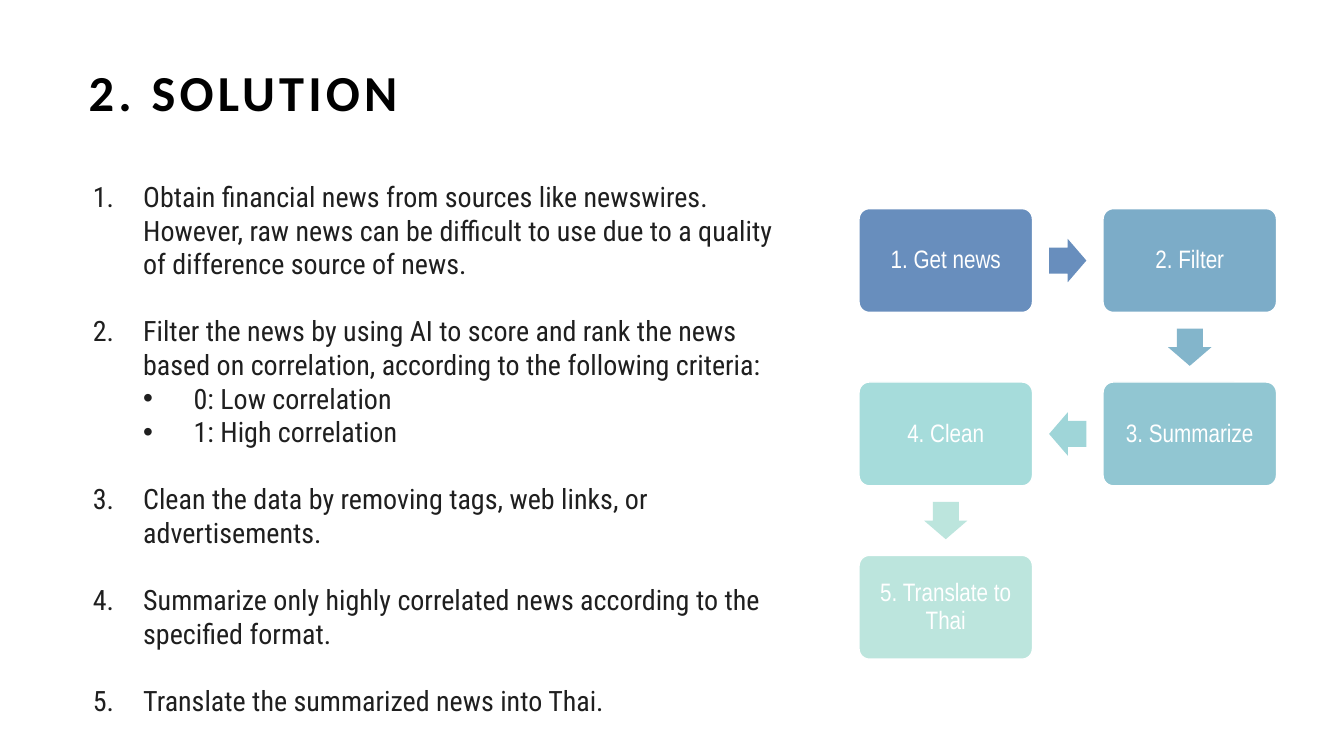
"""Builds the solution slide: a numbered list beside a five-step winding process."""
from lxml import etree
from pptx import Presentation, util as u
from pptx.dml.color import RGBColor
from pptx.enum import shapes, text
from pptx.oxml.ns import qn

COLORS = {
    "paper": "FFFFFF", "title": "000000", "body": "1F1F1F",
    "box1": "688EBD", "box2": "7CACC8", "box3": "91C6D2", "box4": "A6DCDB", "box5": "BCE5DD",
    "arrow1": "688EBD", "arrow2": "83B5CB", "arrow3": "9FD5D8", "arrow4": "BCE5DD",
}
FONTS = {
    "title": {"name": "Calibri", "size": u.Pt(36), "bold": True},
    "body": {"name": "Roboto Condensed", "size": u.Pt(20)},
    "paper": {"name": "Arial Narrow", "size": u.Pt(18)},
}
ITEMS = [
    ("1", "Obtain financial news from sources like newswires. However, raw news can be "
          "difficult to use due to a quality of difference source of news."),
    ("2", "Filter the news by using AI to score and rank the news based on correlation, "
          "according to the following criteria:"),
    ("•", "0: Low correlation"),
    ("•", "1: High correlation"),
    ("3", "Clean the data by removing tags, web links, or advertisements."),
    ("4", "Summarize only highly correlated news according to the specified format."),
    ("5", "Translate the summarized news into Thai."),
]
STEPS = [("1. Get news", 0, 0), ("2. Filter", 1, 0), ("3. Summarize", 1, 1),
         ("4. Clean", 0, 1), ("5. Translate to Thai", 0, 2)]
TURNS = [0, 90, 180, 90]
LEFT, TOP, COL, ROW = 8.52, 2.07, 2.42, 1.72
BOX_W, BOX_H, ARROW_W, ARROW_H = 1.72, 1.03, 0.37, 0.43


def write(p, words, style):
    r = p.add_run()
    r.text = words
    for key, value in FONTS[style].items():
        setattr(r.font, key, value)
    r.font.color.rgb = RGBColor.from_string(COLORS[style])
    return r


def add_filled(kind, x, y, w, h, color, adjustments):
    sp = s.shapes.add_shape(kind, *map(u.Inches, (x, y, w, h)))
    sp.shadow.inherit = False
    sp.fill.solid()
    sp.fill.fore_color.rgb = RGBColor.from_string(COLORS[color])
    for i, value in enumerate(adjustments):
        sp.adjustments[i] = value
    return sp


prs = Presentation()
prs.slide_width, prs.slide_height = u.Inches(13.33), u.Inches(7.5)
s = prs.slides.add_slide(prs.slide_layouts[1])
title, body = s.shapes.title, s.placeholders[1]

for sp, frame in ((body, (0.82, 1.73, 7.15, 5.15)), (title, (0.88, 0.67, 10.74, 0.56))):
    for side, value in zip(("left", "top", "width", "height"), frame):
        setattr(sp, side, u.Inches(value))
    sp.text_frame.vertical_anchor = text.MSO_ANCHOR.TOP
    sp.text_frame.word_wrap = True

tf = title.text_frame
tf.auto_size = text.MSO_AUTO_SIZE.NONE
for side in ("left", "top", "right", "bottom"):
    setattr(tf, f"margin_{side}", 0)
title.fill.solid()
title.fill.fore_color.rgb = RGBColor.from_string(COLORS["paper"])
p = tf.paragraphs[0]
p.alignment, p.line_spacing = text.PP_ALIGN.LEFT, 0.9
r = write(p, "2. SOLUTION", "title")
r.font._element.set("spc", "300")

tf = body.text_frame
tf.auto_size = text.MSO_AUTO_SIZE.SHAPE_TO_FIT_TEXT
for i, (mark, words) in enumerate(ITEMS):
    p = tf.paragraphs[0] if i == 0 else tf.add_paragraph()
    is_bullet = mark == "•"
    p.level = int(is_bullet)
    p.space_before = u.Pt(0 if i == 0 or is_bullet else 24)
    write(p, words, "body")
    pPr = p._p.get_or_add_pPr()
    pPr.set("marL", str(u.Inches(1 if is_bullet else 0.5)))
    pPr.set("indent", str(u.Inches(-0.5)))
    if is_bullet:
        etree.SubElement(pPr, qn("a:buFont"), typeface="Arial")
        etree.SubElement(pPr, qn("a:buChar"), char=mark)
    else:
        etree.SubElement(pPr, qn("a:buFont"), typeface="+mj-lt")
        etree.SubElement(pPr, qn("a:buAutoNum"), type="arabicPeriod", startAt=mark)

for i, (words, col, row) in enumerate(STEPS, 1):
    sp = add_filled(shapes.MSO_SHAPE.ROUNDED_RECTANGLE, LEFT + col * COL, TOP + row * ROW,
                    BOX_W, BOX_H, f"box{i}", [0.1])
    sp.line.color.rgb = RGBColor.from_string(COLORS["paper"])
    sp.line.width = u.Pt(1)
    tf = sp.text_frame
    tf.word_wrap, tf.vertical_anchor = True, text.MSO_ANCHOR.MIDDLE
    for side in ("left", "top", "right", "bottom"):
        setattr(tf, f"margin_{side}", u.Inches(0.07))
    p = tf.paragraphs[0]
    p.alignment, p.line_spacing = text.PP_ALIGN.CENTER, 0.9
    write(p, words, "paper")

for i, (start, end, turn) in enumerate(zip(STEPS, STEPS[1:], TURNS), 1):
    x = LEFT + (start[1] + end[1]) / 2 * COL + (BOX_W - ARROW_W) / 2
    y = TOP + (start[2] + end[2]) / 2 * ROW + (BOX_H - ARROW_H) / 2
    sp = add_filled(shapes.MSO_SHAPE.RIGHT_ARROW, x, y, ARROW_W, ARROW_H, f"arrow{i}", [0.6, 0.5])
    sp.line.fill.background()
    sp.rotation = turn

prs.save("out.pptx")
